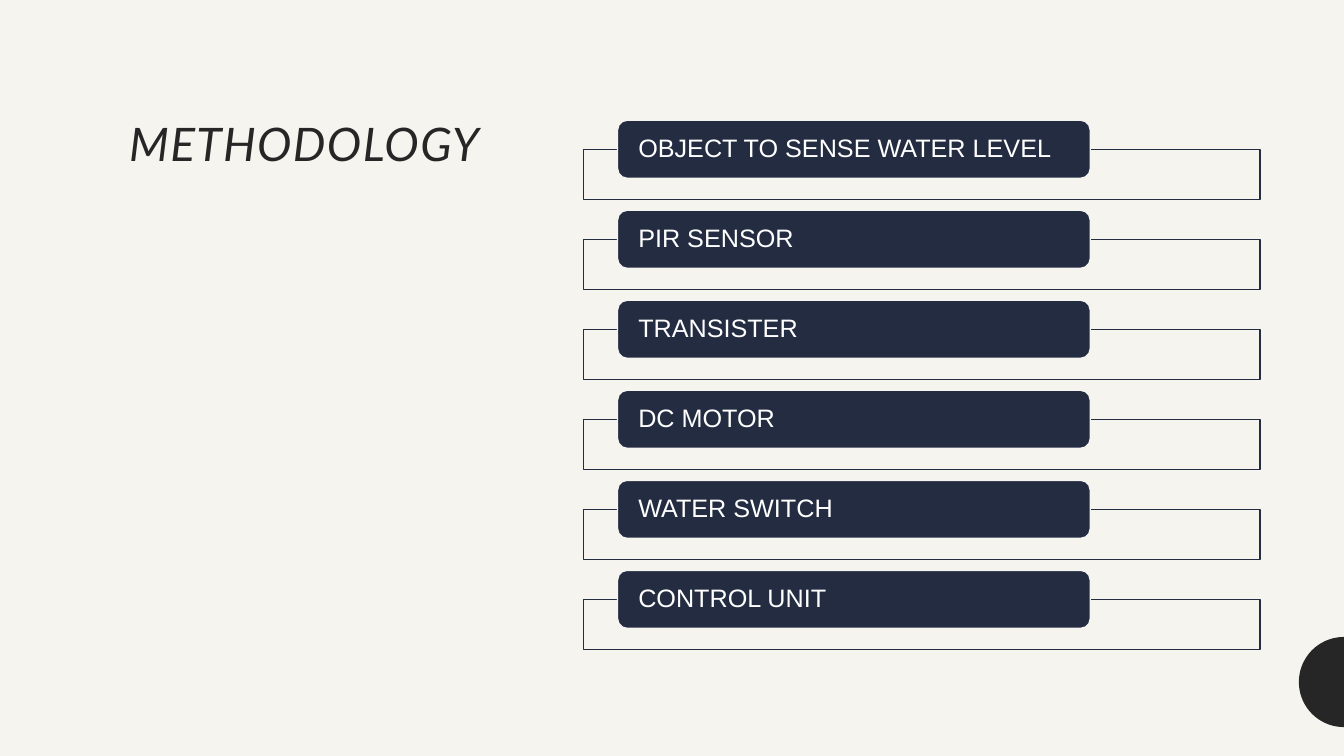
import math
from dataclasses import dataclass

from pptx import Presentation
from pptx import util as u
from pptx.dml.color import RGBColor
from pptx.enum import shapes, text
from pptx.oxml import parse_xml
from pptx.oxml.ns import nsdecls

COLORS = {"paper": "F6F4EF", "navy": "232C41", "ink": "262626", "white": "FFFFFF"}
SLIDE_W, SLIDE_H = 960, 540
PITCH = 64.3
STEPS = (
    "OBJECT TO SENSE WATER LEVEL",
    "PIR SENSOR",
    "TRANSISTER",
    "DC MOTOR",
    "WATER SWITCH",
    "CONTROL UNIT",
)


@dataclass(frozen=True)
class Box:
    kind: shapes.MSO_SHAPE
    left: float
    top: float
    width: float
    height: float
    fill: str
    line: str


FRAME = Box(shapes.MSO_SHAPE.RECTANGLE, 416.9, 106.6, 483.1, 35.8, "paper", "navy")
BAR = Box(shapes.MSO_SHAPE.ROUNDED_RECTANGLE, 441.1, 85.9, 337.7, 41.5, "navy", "paper")


def rgb(name: str) -> RGBColor:
    return RGBColor.from_string(COLORS[name])


def set_all(obj, values: dict) -> None:
    for name, value in values.items():
        setattr(obj, name, value)


def paint(sp, fill: str) -> None:
    sp.shadow.inherit = False
    sp.fill.solid()
    sp.fill.fore_color.rgb = rgb(fill)


def add_box(s, box: Box, row: int):
    """Draw a box moved down by the given number of rows."""
    sp = s.shapes.add_shape(box.kind, u.Pt(box.left), u.Pt(box.top + row * PITCH),
                            u.Pt(box.width), u.Pt(box.height))
    paint(sp, box.fill)
    sp.line.color.rgb = rgb(box.line)
    sp.line.width = u.Pt(1)
    return sp


def write(sp, words: str, frame: dict, font: dict, color: str):
    """Set one left-aligned line of text and return its run."""
    tf = sp.text_frame
    set_all(tf, {"word_wrap": True, "auto_size": text.MSO_AUTO_SIZE.NONE, **frame})
    p = tf.paragraphs[0]
    set_all(p, {"alignment": text.PP_ALIGN.LEFT, "line_spacing": 0.9})
    r = p.add_run()
    r.text = words
    set_all(r.font, font)
    r.font.color.rgb = rgb(color)
    return r


def add_title(s) -> None:
    sp = s.shapes.title
    set_all(sp, {"left": u.Pt(85), "top": u.Pt(83.5),
                 "width": u.Pt(281.5), "height": u.Pt(378.7)})
    r = write(sp, "METHODOLOGY", {"vertical_anchor": text.MSO_ANCHOR.TOP},
              {"name": "Lato", "size": u.Pt(33), "italic": True}, "ink")
    r.font._element.set("spc", "100")


def add_step(s, row: int, words: str) -> None:
    frame = add_box(s, FRAME, row)
    frame.fill._xPr.find(".//{*}srgbClr").append(
        parse_xml(f'<a:alpha {nsdecls("a")} val="90000"/>'))
    write(add_box(s, BAR, row), words,
          {"vertical_anchor": text.MSO_ANCHOR.MIDDLE,
           "margin_left": u.Pt(12.8), "margin_right": u.Pt(12.8),
           "margin_top": 0, "margin_bottom": 0},
          {"name": "Arial", "size": u.Pt(18)}, "white")


def add_half_disc(s, cy: float, radius: float) -> None:
    """Draw the left half of a disc centred on the slide's right edge."""
    angles = [math.radians(90 + 5 * i) for i in range(37)]
    points = [(u.Pt(SLIDE_W + radius * math.cos(a)), u.Pt(cy + radius * math.sin(a)))
              for a in angles]
    builder = s.shapes.build_freeform(*points[0])
    builder.add_line_segments(points[1:], close=True)
    sp = builder.convert_to_shape()
    paint(sp, "ink")
    sp.line.fill.background()


def main() -> None:
    prs = Presentation()
    set_all(prs, {"slide_width": u.Pt(SLIDE_W), "slide_height": u.Pt(SLIDE_H)})
    s = prs.slides.add_slide(prs.slide_layouts[5])
    s.background.fill.solid()
    s.background.fill.fore_color.rgb = rgb("paper")
    add_half_disc(s, 487.2, 32.2)
    add_title(s)
    for row, words in enumerate(STEPS):
        add_step(s, row, words)
    prs.save("out.pptx")


if __name__ == "__main__":
    main()
